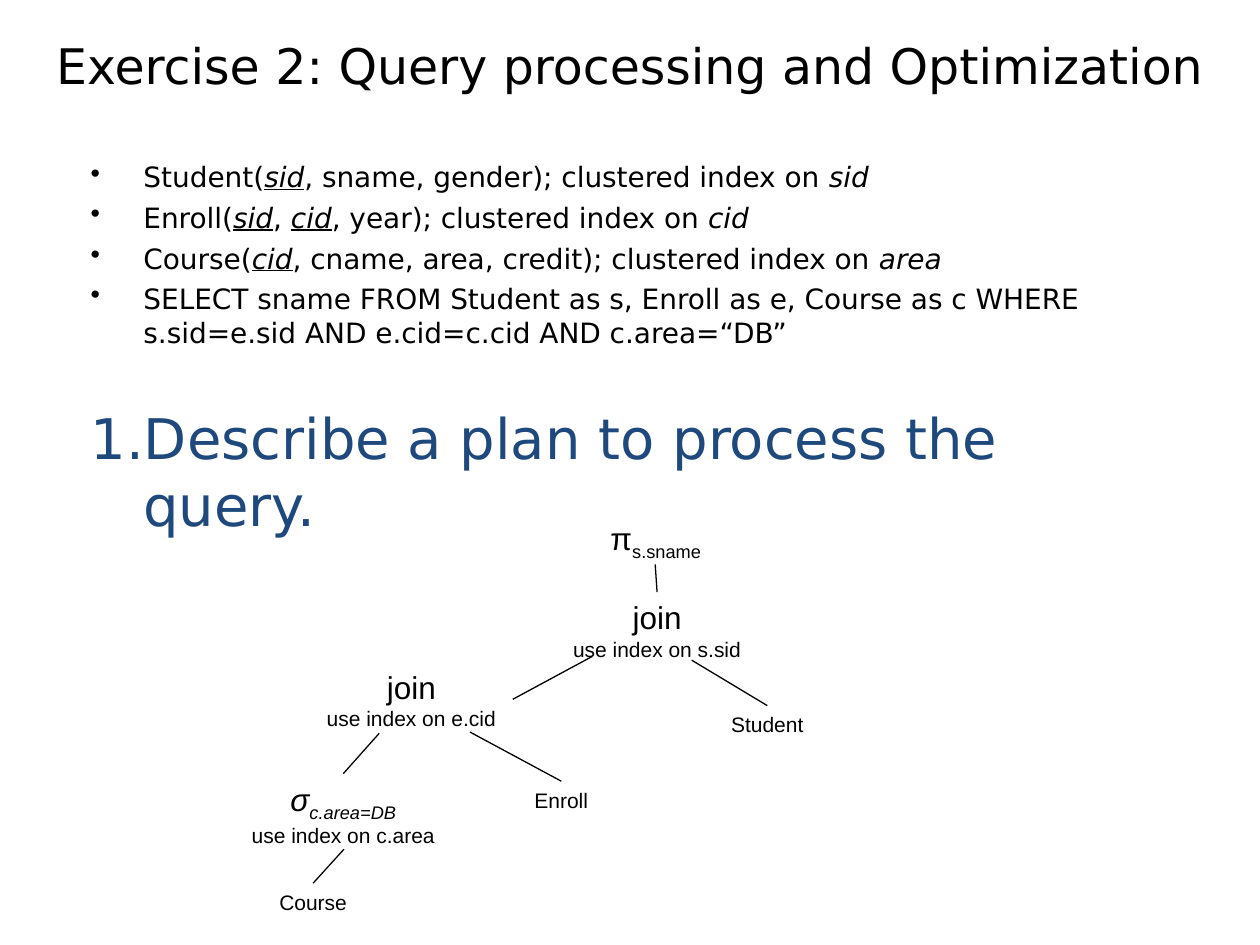
from lxml.etree import SubElement
from pptx import Presentation
from pptx.dml.color import RGBColor
from pptx.enum.shapes import MSO_CONNECTOR as Connector
from pptx.enum.text import MSO_ANCHOR as Anchor, MSO_AUTO_SIZE as AutoSize, PP_ALIGN as Align
from pptx.oxml.ns import qn
from pptx.util import Inches, Pt

COLORS = {"ink": "000000", "task": "1F497D"}
TEXT_FONT = "DejaVu Sans"
TREE_FONT = "Arial"
INDENT = Inches(0.42)

TITLE = "Exercise 2: Query processing and Optimization"
TASK = "Describe a plan to process the query."
FACTS = [
    [("Student(", ""), ("sid", "iu"), (", sname, gender); clustered index on ", ""), ("sid", "i")],
    [("Enroll(", ""), ("sid", "iu"), (", ", ""), ("cid", "iu"),
     (", year); clustered index on ", ""), ("cid", "i")],
    [("Course(", ""), ("cid", "iu"), (", cname, area, credit); clustered index on ", ""),
     ("area", "i")],
    [("SELECT sname FROM Student as s, Enroll as e, Course as c WHERE "
      "s.sid=e.sid AND e.cid=c.cid AND c.area=“DB”", "")],
]

NODES = {
    "project": ((4.59, 4.07, 1.23, 0.44), [(18, [("π", ""), ("s.sname", "s")])]),
    "student join": ((4.32, 4.7, 1.79, 0.6),
                     [(18, [("join", "")]), (12, [("use index on s.sid", "")])]),
    "enroll join": ((2.46, 5.25, 1.61, 0.6),
                    [(18, [("join", "")]), (12, [("use index on e.cid", "")])]),
    "select": ((1.88, 6.14, 1.69, 0.64),
               [(18, [("σ", "i"), ("c.area=DB", "is")]), (12, [("use index on c.area", "")])]),
    "student": ((5.68, 5.6, 0.82, 0.3), [(12, [("Student", "")])]),
    "enroll": ((4.14, 6.2, 0.63, 0.3), [(12, [("Enroll", "")])]),
    "course": ((1.99, 7.01, 0.99, 0.3), [(12, [("Course", "")])]),
}

TOP, RIGHT = 0, 3
EDGES = [
    ("student join", TOP, (5.2, 4.48)),
    ("enroll join", RIGHT, (4.7, 5.21)),
    ("student", TOP, (5.49, 5.24)),
    ("select", TOP, (3.01, 5.82)),
    ("enroll", TOP, (3.73, 5.81)),
    ("course", TOP, (2.73, 6.74)),
]


def add_box(page, place):
    box = page.shapes.add_textbox(*map(Inches, place))
    box.text_frame.word_wrap = True
    return box


def add_spans(para, spans, font, size, color="ink"):
    for text, style in spans:
        span = para.add_run()
        span.text = text
        span.font.name = font
        span.font.size = Pt(size)
        span.font.color.rgb = RGBColor.from_string(COLORS[color])
        if "i" in style:
            span.font.italic = True
        if "u" in style:
            span.font.underline = True
        if "s" in style:
            span.font._element.set("baseline", "-25000")


def next_para(frame, index):
    return frame.add_paragraph() if index else frame.paragraphs[0]


def add_bullet(para, color, tag, **attributes):
    props = para._p.get_or_add_pPr()
    props.set("marL", str(INDENT))
    props.set("indent", str(-INDENT))
    tint = SubElement(props, qn("a:buClr"))
    SubElement(tint, qn("a:srgbClr"), val=COLORS[color])
    SubElement(props, qn(tag), **attributes)


def add_title(page):
    box = add_box(page, (0.34, 0.18, 9.31, 0.67))
    box.text_frame.vertical_anchor = Anchor.MIDDLE
    para = box.text_frame.paragraphs[0]
    para.alignment = Align.CENTER
    add_spans(para, [(TITLE, "")], TEXT_FONT, 28)


def add_exercise(page):
    frame = add_box(page, (0.62, 1.22, 8.58, 3.06)).text_frame
    for index, spans in enumerate(FACTS):
        para = next_para(frame, index)
        if index:
            para.space_before = Pt(4)
        add_bullet(para, "ink", "a:buChar", char="•")
        add_spans(para, spans, TEXT_FONT, 16)
    para = frame.add_paragraph()
    para.space_before = Pt(31)
    add_bullet(para, "task", "a:buAutoNum", type="arabicPeriod")
    add_spans(para, [(TASK, "")], TEXT_FONT, 32, "task")


def add_node(page, place, lines):
    box = add_box(page, place)
    box.text_frame.auto_size = AutoSize.SHAPE_TO_FIT_TEXT
    for index, (size, spans) in enumerate(lines):
        para = next_para(box.text_frame, index)
        para.alignment = Align.CENTER
        add_spans(para, spans, TREE_FONT, size)
    return box


def add_edge(page, child, side, end):
    x, y = map(Inches, end)
    edge = page.shapes.add_connector(Connector.STRAIGHT, x, y, x, y)
    edge.begin_connect(child, side)
    edge.line.color.rgb = RGBColor.from_string(COLORS["ink"])
    edge.line.width = Pt(0.75)
    SubElement(edge._element.spPr, qn("a:effectLst"))


def main():
    deck = Presentation()
    deck.slide_width, deck.slide_height = Inches(10), Inches(7.5)
    page = deck.slides.add_slide(deck.slide_layouts[6])
    add_exercise(page)
    add_title(page)
    nodes = {name: add_node(page, *node) for name, node in NODES.items()}
    for name, side, end in EDGES:
        add_edge(page, nodes[name], side, end)
    deck.save("out.pptx")


if __name__ == "__main__":
    main()
